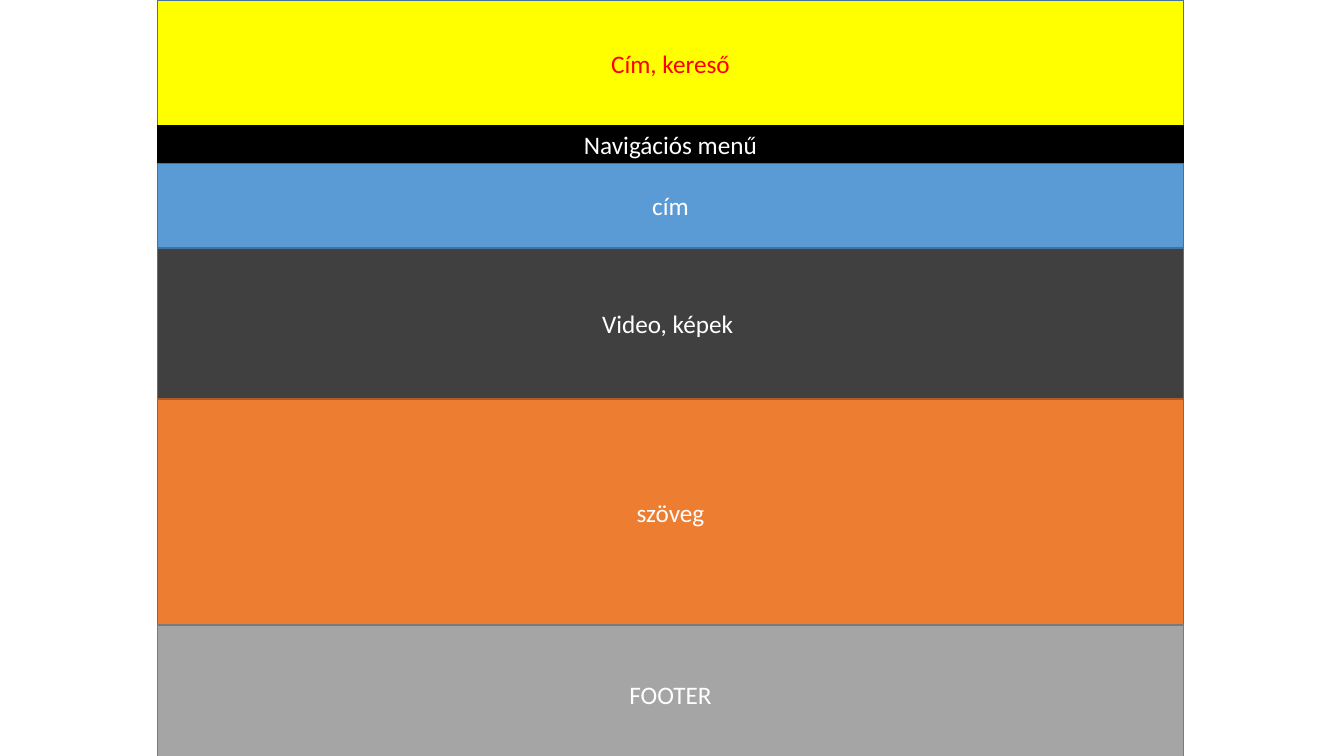
"""Build a slide that sketches a web page as stacked full-width bands."""
from dataclasses import dataclass

from pptx import Presentation
from pptx.dml.color import RGBColor
from pptx.enum.shapes import MSO_SHAPE
from pptx.enum.text import MSO_ANCHOR, PP_ALIGN
from pptx.util import Inches, Pt

RECT = MSO_SHAPE.RECTANGLE
MIDDLE = MSO_ANCHOR.MIDDLE
CENTER = PP_ALIGN.CENTER
BLANK_LAYOUT = 6
PAGE_LEFT, PAGE_WIDTH = 1.56, 10.18


@dataclass(frozen=True)
class Theme:
    font: str = "Calibri"
    text_size: int = 18
    line_width: int = 1
    white: str = "FFFFFF"
    red: str = "FF0000"
    yellow: str = "FFFF00"
    black: str = "000000"
    charcoal: str = "404040"
    orange: str = "ED7D31"
    orange_edge: str = "AF5C24"
    blue: str = "5B9BD5"
    blue_edge: str = "43739E"
    gray: str = "A5A5A5"
    gray_edge: str = "7A7A7A"


class SlideBuilder:
    def __init__(self, slide, theme):
        self.s = slide
        self.theme = theme

    def band(self, text, top, height, fill, edge, color):
        sp = self.s.shapes.add_shape(
            RECT, Inches(PAGE_LEFT), Inches(top), Inches(PAGE_WIDTH), Inches(height))
        sp.shadow.inherit = False
        sp.fill.solid()
        sp.fill.fore_color.rgb = RGBColor.from_string(fill)
        sp.line.color.rgb = RGBColor.from_string(edge)
        sp.line.width = Pt(self.theme.line_width)
        tf = sp.text_frame
        tf.word_wrap = True
        tf.vertical_anchor = MIDDLE
        p = tf.paragraphs[0]
        p.alignment = CENTER
        r = p.add_run()
        r.text = text
        r.font.name = self.theme.font
        r.font.size = Pt(self.theme.text_size)
        r.font.color.rgb = RGBColor.from_string(color)


prs = Presentation()
prs.slide_width, prs.slide_height = Inches(13.33), Inches(7.5)
t = Theme()
page = SlideBuilder(prs.slides.add_slide(prs.slide_layouts[BLANK_LAYOUT]), t)

bands = [
    ("Cím, kereső", 0, 1.25, t.yellow, t.blue_edge, t.red),
    ("Navigációs menű", 1.25, 0.37, t.black, t.black, t.white),
    ("Video, képek ", 2.44, 1.53, t.charcoal, t.blue_edge, t.white),
    (" szöveg ", 3.96, 2.24, t.orange, t.orange_edge, t.white),
    (" cím ", 1.62, 0.84, t.blue, t.blue_edge, t.white),
    ("FOOTER", 6.2, 1.37, t.gray, t.gray_edge, t.white),
]
for band in bands:
    page.band(*band)

prs.save("out.pptx")
